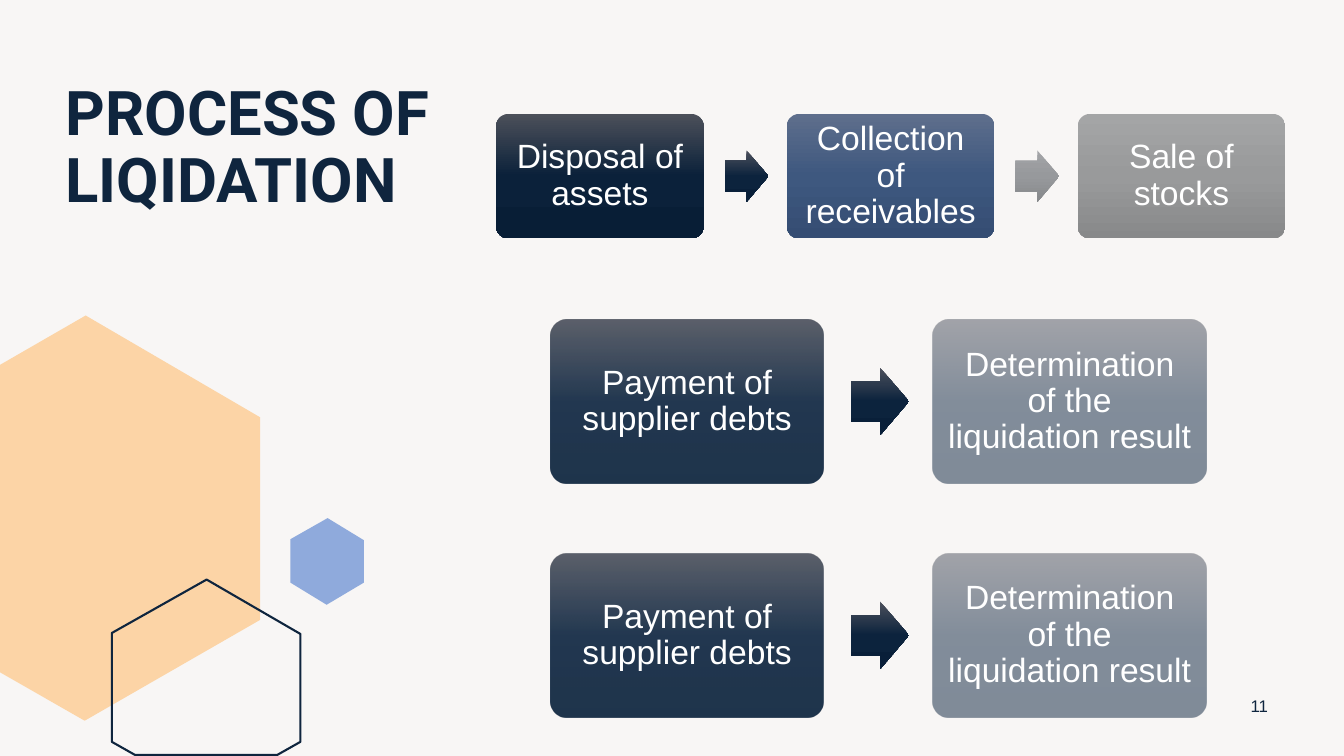
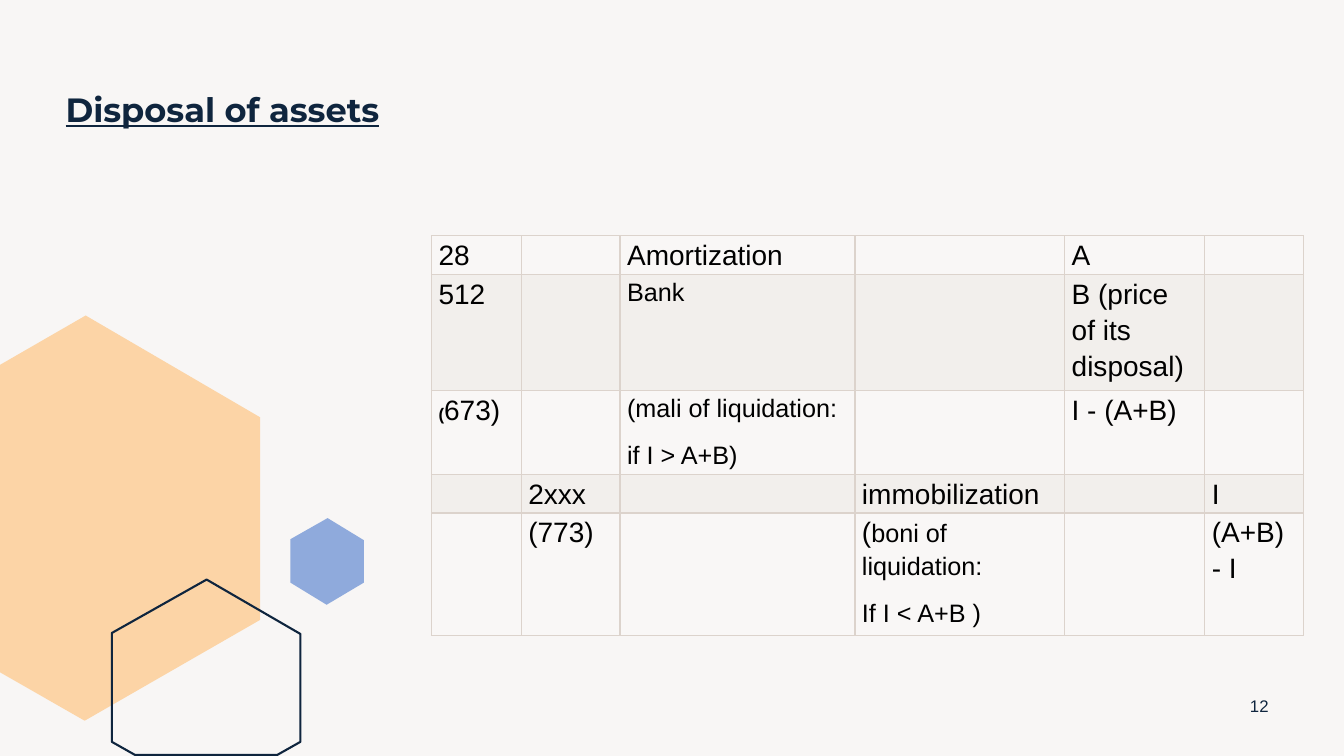
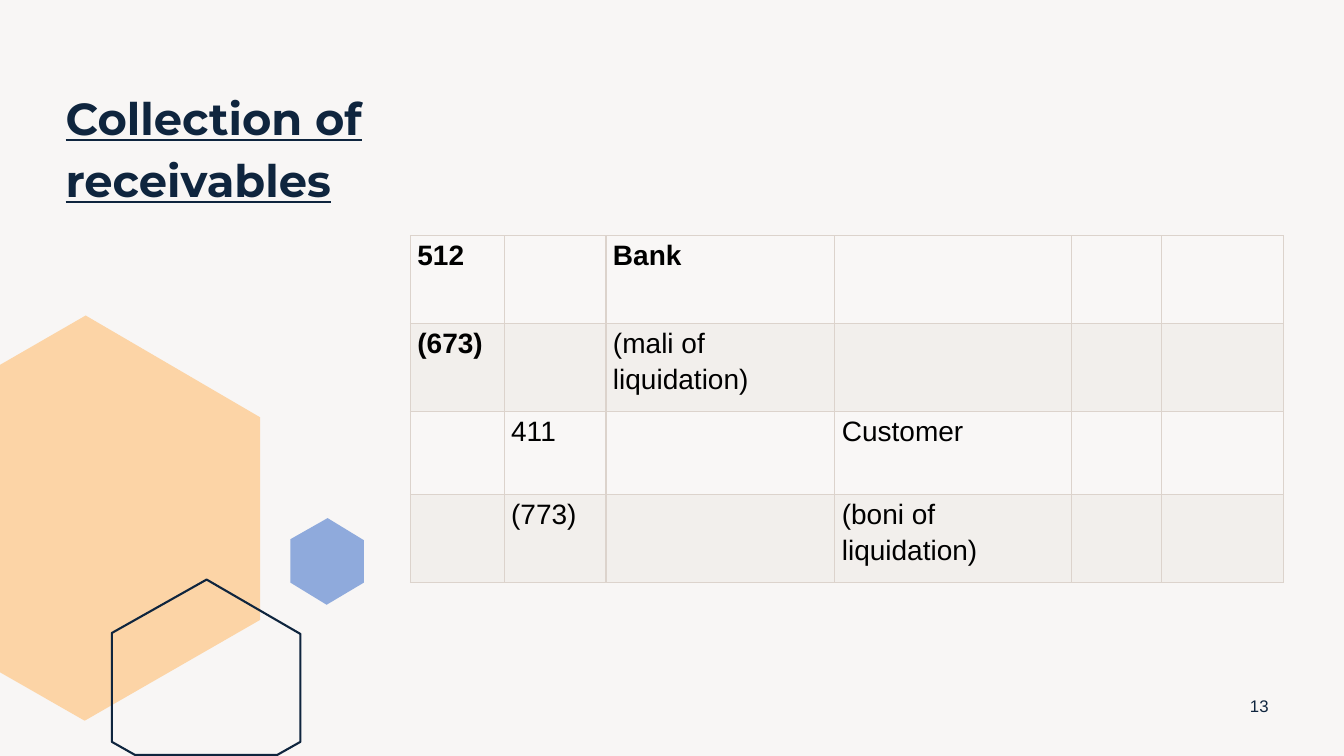
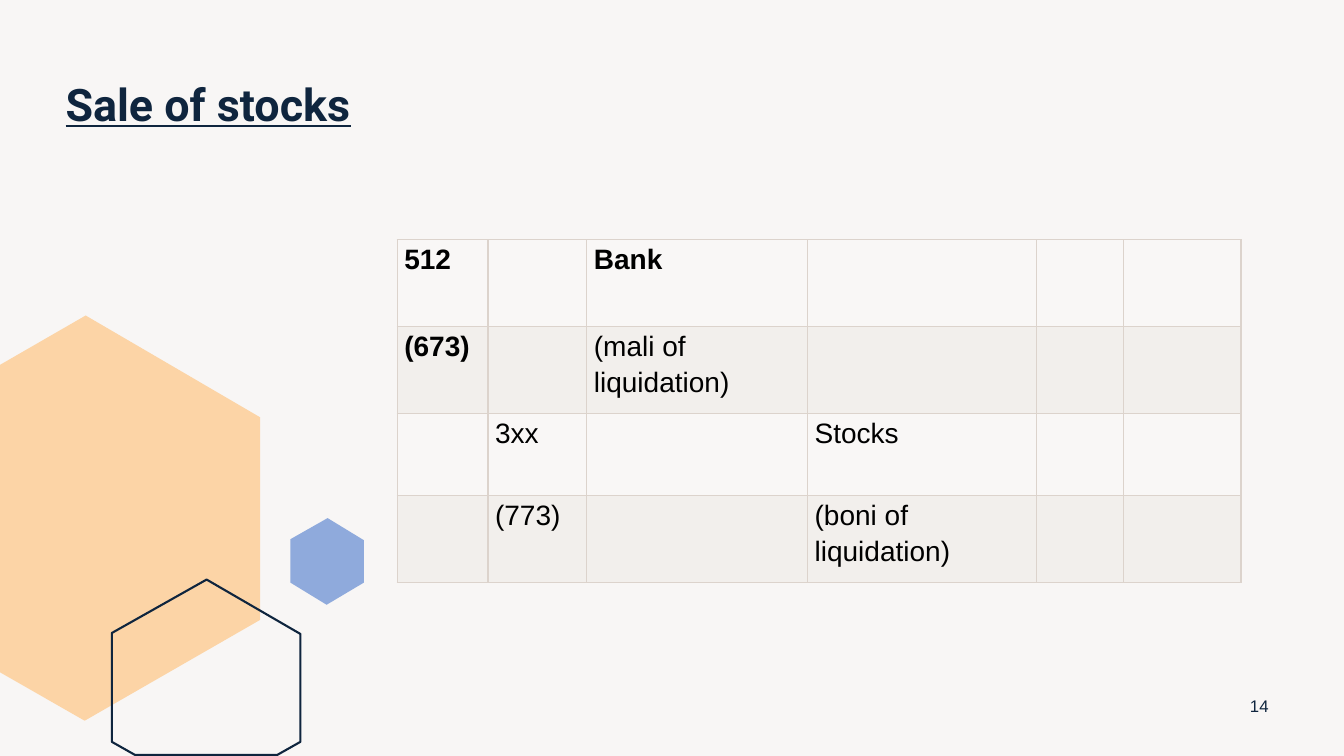
from dataclasses import dataclass
from itertools import pairwise
from typing import NamedTuple

from pptx import Presentation
from pptx import util as u
from pptx.dml import color as dml
from pptx.enum import shapes, text
from pptx.oxml import ns, parse_xml

Inches = u.Inches


@dataclass(frozen=True)
class Theme:
    paper: str = "F8F6F5"
    navy: str = "0F253E"
    peach: str = "FCD4A6"
    sky: str = "8FAADC"
    white: str = "FFFFFF"
    black: str = "000000"
    rule: str = "DCD3CC"
    bands: tuple[str, str] = ("F9F7F6", "F2EFEC")
    body_font: str = "Arial"
    page_number: int = 12
    cell: int = 20
    cell_small: int = 18
    step: int = 24


THEME = Theme()
FIRST_PAGE_NUMBER = 11


class Gradient(NamedTuple):
    """Three colours from top to bottom, with one opacity in percent."""
    colors: tuple[str, str, str]
    opacity: int = 100


NAVY = Gradient(("4C505A", "0B213A", "081E36"))
NAVY_ARROW = Gradient(("4C505C", "0C233D", "091F39"))
BLUE = Gradient(("5E6E8C", "3E587F", "354D73"))
GREY = Gradient(("A4A5A6", "999A9B", "88898A"))
GREY_ARROW = Gradient(("A3A4A7", "97999C", "86888B"))
NAVY_SOFT = Gradient(("4C515D", "0D2540", "09213B"), 90)
NAVY_FAINT = Gradient(("4C515D", "0D2540", "09213B"), 50)


class Hexagon(NamedTuple):
    points: tuple[tuple[float, float], ...]
    fill: str | None = None


HEXAGONS = (
    Hexagon(((0.85, 3.13), (2.58, 4.14), (2.58, 6.15), (0.84, 7.15),
             (0, 6.67), (0, 3.62)), THEME.peach),
    Hexagon(((2.05, 5.75), (2.98, 6.29), (2.98, 7.36), (2.75, 7.49),
             (1.34, 7.49), (1.11, 7.36), (1.11, 6.28))),
    Hexagon(((3.25, 5.14), (2.88, 5.35), (2.88, 5.78), (3.24, 6),
             (3.61, 5.78), (3.61, 5.36)), THEME.sky),
)


class Title(NamedTuple):
    text: str
    size: int
    font: str = "Roboto"
    underline: bool = True
    line_spacing: float = 0.9
    space_after: int = 0


class Step(NamedTuple):
    text: str
    fill: Gradient


class Process(NamedTuple):
    """A row of steps; box_width sets every other length of the row."""
    left: float
    top: float
    box_width: float
    steps: tuple[Step, ...]
    arrows: tuple[Gradient, ...]


class Span(NamedTuple):
    text: str
    size: int = THEME.cell
    bold: bool = False


Lines = tuple[tuple[Span, ...], ...]


@dataclass(frozen=True)
class Ledger:
    """A journal table; entries are keyed by row and column."""
    left: float
    top: float
    columns: tuple[float, ...]
    rows: tuple[float, ...]
    entries: dict[tuple[int, int], Lines]


def line(words: str, size: int = THEME.cell, bold: bool = False) -> tuple[Span, ...]:
    return (Span(words, size, bold),)


def write(para, words: str, *, size: int, color: str, font: str = THEME.body_font,
          bold: bool = False, underline: bool = False) -> None:
    span = para.add_run()
    span.text = words
    span.font.size = u.Pt(size)
    span.font.name = font
    span.font.bold = bold
    span.font.underline = underline
    span.font.color.rgb = dml.RGBColor.from_string(color)


def paint_solid(fill, color: str) -> None:
    fill.solid()
    fill.fore_color.rgb = dml.RGBColor.from_string(color)


def paint_gradient(shape, gradient: Gradient) -> None:
    shape.fill.gradient()
    shape.fill.gradient_angle = 270
    stops = shape.element.spPr.find(".//" + ns.qn("a:gsLst"))
    stops.clear()
    for position, color in zip((0, 50, 100), gradient.colors):
        stops.append(parse_xml(
            f'<a:gs {ns.nsdecls("a")} pos="{position * 1000}"><a:srgbClr val="{color}">'
            f'<a:alpha val="{gradient.opacity * 1000}"/></a:srgbClr></a:gs>'))


def draw_hexagon(page, hexagon: Hexagon):
    points = [(Inches(x), Inches(y)) for x, y in hexagon.points]
    builder = page.shapes.build_freeform(*points[0])
    builder.add_line_segments(points[1:], close=True)
    shape = builder.convert_to_shape()
    shape.shadow.inherit = False
    if hexagon.fill:
        paint_solid(shape.fill, hexagon.fill)
        shape.line.fill.background()
    else:
        shape.fill.background()
        shape.line.width = u.Pt(1.5)
        shape.line.color.rgb = dml.RGBColor.from_string(THEME.navy)
    return shape


def style_layout(layout, page) -> None:
    """Set background, title frame and hexagons; the hexagons are built on page and moved."""
    paint_solid(layout.background.fill, THEME.paper)
    title = next(holder for holder in layout.placeholders
                 if holder.placeholder_format.type == shapes.PP_PLACEHOLDER.TITLE)
    title.left, title.top = Inches(0.55), Inches(0.77)
    title.width, title.height = Inches(4.37), Inches(2.49)
    title.text_frame.vertical_anchor = text.MSO_ANCHOR.TOP
    title.text_frame.auto_size = text.MSO_AUTO_SIZE.NONE
    for hexagon in HEXAGONS:
        layout.shapes.element.append(draw_hexagon(page, hexagon).element)


def add_title(page, title: Title) -> None:
    para = page.shapes.title.text_frame.paragraphs[0]
    para.alignment = text.PP_ALIGN.LEFT
    para.line_spacing = title.line_spacing
    para.space_after = u.Pt(title.space_after)
    write(para, title.text, size=title.size, color=THEME.navy, font=title.font,
          bold=True, underline=title.underline)


def add_page_number(page, number: int) -> None:
    box = page.shapes.add_textbox(Inches(12.24), Inches(6.8), Inches(0.5), Inches(0.4))
    box.text_frame.word_wrap = True
    box.text_frame.vertical_anchor = text.MSO_ANCHOR.MIDDLE
    para = box.text_frame.paragraphs[0]
    para.alignment = text.PP_ALIGN.CENTER
    write(para, str(number), size=THEME.page_number, color=THEME.navy)


def add_block(page, kind: shapes.MSO_SHAPE, left: float, top: float, width: float,
              height: float, fill: Gradient, adjustments: tuple[float, ...]):
    shape = page.shapes.add_shape(kind, Inches(left), Inches(top),
                                  Inches(width), Inches(height))
    shape.shadow.inherit = False
    shape.line.fill.background()
    paint_gradient(shape, fill)
    for index, value in enumerate(adjustments):
        shape.adjustments[index] = value
    return shape


def add_process(page, process: Process) -> None:
    width = process.box_width
    height, pitch = 0.6 * width, 1.4 * width
    arrow_width, arrow_height = 0.212 * width, 0.248 * width
    for index, step in enumerate(process.steps):
        left = process.left + index * pitch
        box = add_block(page, shapes.MSO_SHAPE.ROUNDED_RECTANGLE, left, process.top,
                        width, height, step.fill, (0.1,))
        frame = box.text_frame
        frame.word_wrap = True
        frame.vertical_anchor = text.MSO_ANCHOR.MIDDLE
        frame.margin_left = frame.margin_right = Inches(0.1)
        frame.margin_top = frame.margin_bottom = Inches(0.1)
        para = frame.paragraphs[0]
        para.alignment = text.PP_ALIGN.CENTER
        para.line_spacing = 0.9
        write(para, step.text, size=THEME.step, color=THEME.white)
    for index, fill in enumerate(process.arrows):
        add_block(page, shapes.MSO_SHAPE.RIGHT_ARROW,
                  process.left + index * pitch + 1.1 * width,
                  process.top + (height - arrow_height) / 2,
                  arrow_width, arrow_height, fill, (0.6, 0.5))


def style_cell(cell, fill: str) -> None:
    cell.margin_left = cell.margin_right = Inches(0.07)
    cell.margin_top = cell.margin_bottom = 0
    paint_solid(cell.fill, fill)
    properties = cell._tc.get_or_add_tcPr()
    for index, side in enumerate(("lnL", "lnR", "lnT", "lnB")):
        properties.insert(index, parse_xml(
            f'<a:{side} {ns.nsdecls("a")} w="{u.Pt(1)}"><a:solidFill>'
            f'<a:srgbClr val="{THEME.rule}"/></a:solidFill></a:{side}>'))


def fill_cell(cell, lines: Lines) -> None:
    frame = cell.text_frame
    for index, spans in enumerate(lines):
        para = frame.add_paragraph() if index else frame.paragraphs[0]
        para.line_spacing = 1.15
        para.space_after = u.Pt(10)
        for span in spans:
            write(para, span.text, size=span.size, color=THEME.black, bold=span.bold)


def add_ledger(page, ledger: Ledger) -> None:
    table = page.shapes.add_table(
        len(ledger.rows), len(ledger.columns), Inches(ledger.left), Inches(ledger.top),
        Inches(sum(ledger.columns)), Inches(sum(ledger.rows))).table
    table.first_row = table.horz_banding = False
    for column, width in zip(table.columns, ledger.columns):
        column.width = Inches(width)
    for row_index, height in enumerate(ledger.rows):
        table.rows[row_index].height = Inches(height)
        for column_index in range(len(ledger.columns)):
            cell = table.cell(row_index, column_index)
            style_cell(cell, THEME.bands[row_index % 2])
            fill_cell(cell, ledger.entries.get((row_index, column_index), ()))


def collection_entries(account: str, label: str) -> dict[tuple[int, int], Lines]:
    """Entries for cash received against one credited account."""
    return {
        (0, 0): (line("512", bold=True),),
        (0, 2): (line("Bank", bold=True),),
        (1, 0): (line("(673)", bold=True),),
        (1, 2): (line("(mali of liquidation)"),),
        (2, 1): (line(account),),
        (2, 3): (line(label),),
        (3, 1): (line("(773)"),),
        (3, 3): (line("(boni of liquidation)"),),
    }


def settlement(top: float) -> Process:
    return Process(5.46, top, 2.71,
                   (Step("Payment of supplier debts", NAVY_SOFT),
                    Step("Determination of the liquidation result", NAVY_FAINT)),
                   (NAVY_ARROW,))


REALISATION = Process(4.92, 1.13, 2.06,
                      (Step("Disposal of assets", NAVY),
                       Step("Collection of receivables", BLUE),
                       Step("Sale of stocks", GREY)),
                      (NAVY_ARROW, GREY_ARROW))

SMALL = THEME.cell_small
DISPOSAL = Ledger(
    4.28, 2.34, (0.89, 0.98, 2.33, 2.08, 1.39, 0.98), (0.32, 0.96, 0.83, 0.32, 0.83),
    {
        (0, 0): (line("28"),),
        (0, 2): (line("Amortization"),),
        (0, 4): (line("A"),),
        (1, 0): (line("512"),),
        (1, 2): (line("Bank", SMALL),),
        (1, 4): (line("B (price of its disposal)"),),
        (2, 0): ((Span("(", 12, True), Span("673)")),),
        (2, 2): (line("(mali of liquidation:", SMALL), line("if I > A+B)", SMALL)),
        (2, 4): (line("I - (A+B)"),),
        (3, 1): (line("2xxx"),),
        (3, 3): (line("immobilization"),),
        (3, 5): (line("I"),),
        (4, 1): (line("(773)"),),
        (4, 3): ((Span("("), Span("boni of liquidation:", SMALL)),
                 line("If I < A+B )", SMALL)),
        (4, 5): (line("(A+B) - I"),),
    })
RECEIVABLES = Ledger(
    4.07, 2.34, (0.93, 1.01, 2.27, 2.35, 0.89, 1.21), (0.87, 0.87, 0.83, 0.87),
    collection_entries("411", "Customer"))
STOCKS = Ledger(
    3.94, 2.38, (0.9, 0.98, 2.19, 2.27, 0.86, 1.17), (0.86, 0.86, 0.82, 0.86),
    collection_entries("3xx", "Stocks"))

PAGES: tuple[tuple[Title, tuple[Process | Ledger, ...]], ...] = (
    (Title("PROCESS OF LIQIDATION", 44, underline=False),
     (settlement(3.17), REALISATION, settlement(5.49))),
    (Title("Disposal of assets", 24, "Montserrat", line_spacing=1.15, space_after=10),
     (DISPOSAL,)),
    (Title("Collection of receivables", 32, "Montserrat", line_spacing=1.15, space_after=10),
     (RECEIVABLES,)),
    (Title("Sale of stocks", 32), (STOCKS,)),
)


def main() -> None:
    deck = Presentation()
    deck.slide_width, deck.slide_height = Inches(13.33), Inches(7.5)
    layout = deck.slide_layouts.get_by_name("Title Only")
    pages = [deck.slides.add_slide(layout) for _ in PAGES]
    style_layout(layout, pages[0])
    for number, (page, (title, contents)) in enumerate(zip(pages, PAGES), FIRST_PAGE_NUMBER):
        add_title(page, title)
        add_page_number(page, number)
        for content in contents:
            if isinstance(content, Process):
                add_process(page, content)
            else:
                add_ledger(page, content)
    deck.save("out.pptx")


if __name__ == "__main__":
    main()
